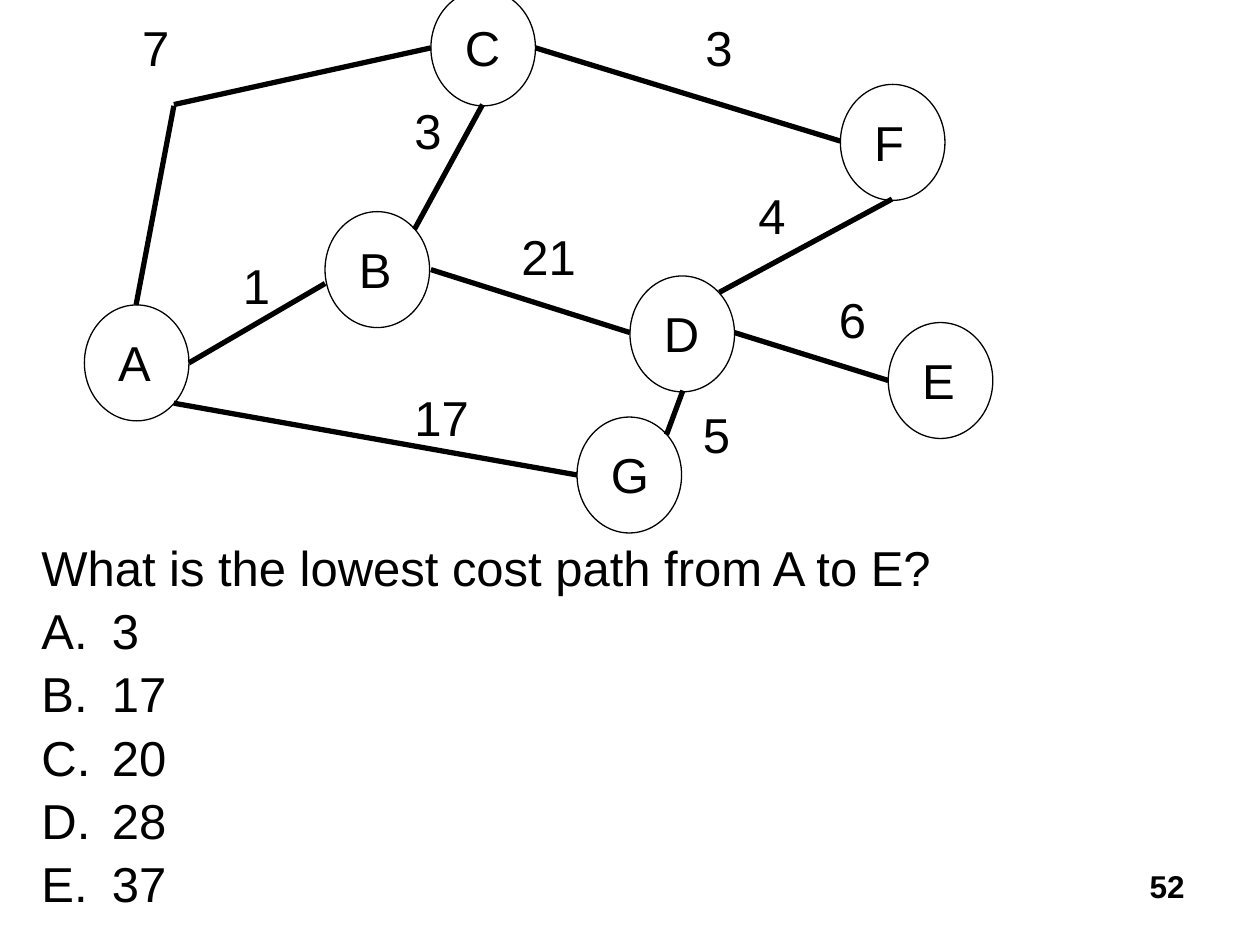
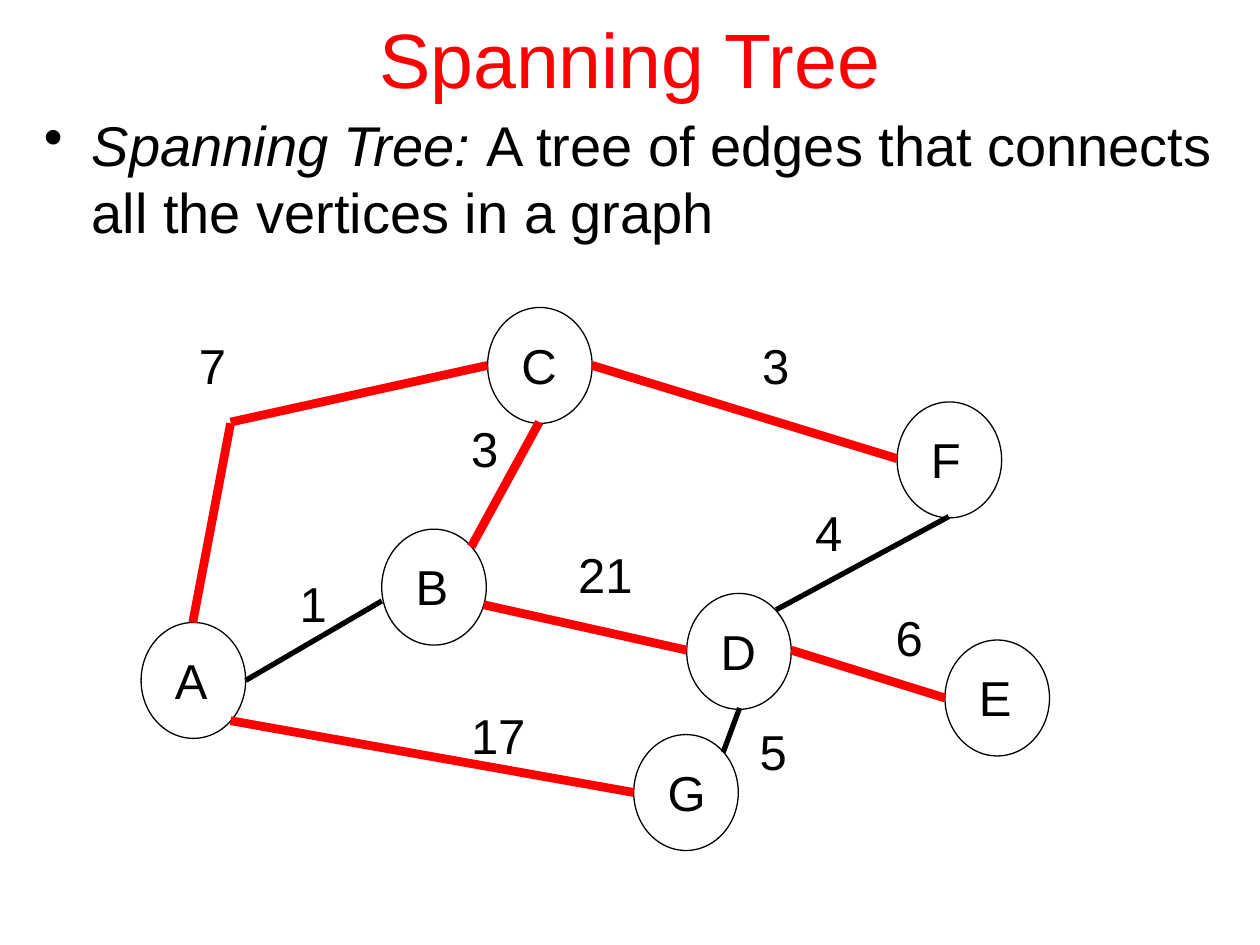
from dataclasses import dataclass, replace

from lxml.etree import SubElement
from pptx import Presentation
from pptx.dml.color import RGBColor
from pptx.enum.shapes import MSO_CONNECTOR, MSO_SHAPE
from pptx.enum.text import MSO_ANCHOR, PP_ALIGN
from pptx.oxml.ns import qn
from pptx.slide import Slide
from pptx.text.text import TextFrame
from pptx.util import Inches, Pt

BLACK = RGBColor(0, 0, 0)
RED = RGBColor(255, 0, 0)
FONT = "Arial"
GAP = Pt(2.4)
NODE_W, NODE_H = 0.83, 0.92
INSET = 0.17  # from a circle's corner to its letter box
TEXT_H = 0.57


@dataclass(frozen=True)
class Node:
    name: str
    x: float
    y: float
    width: float  # of the letter box


@dataclass(frozen=True)
class Edge:
    ends: str
    start: tuple[float, float]
    end: tuple[float, float]


@dataclass(frozen=True)
class Cost:
    value: str
    x: float
    y: float


NODES = [
    Node("A", 0.67, 2.42, 0.46),
    Node("B", 2.58, 1.68, 0.46),
    Node("C", 3.42, -0.08, 0.49),
    Node("F", 6.67, 0.67, 0.44),
    Node("D", 5, 2.19, 0.49),
    Node("E", 7.05, 2.56, 0.46),
    Node("G", 4.58, 3.31, 0.51),
]
# The edge from A to C bends, so it takes two lines
EDGES = [
    Edge("AB", (1.5, 2.88), (2.58, 2.25)),
    Edge("BC", (3.29, 1.82), (3.83, 0.83)),
    Edge("CF", (4.25, 0.38), (6.67, 1.12)),
    Edge("FD", (7.08, 1.58), (5.71, 2.32)),
    Edge("DE", (5.83, 2.64), (7.05, 3.02)),
    Edge("DG", (5.42, 3.1), (5.29, 3.45)),
    Edge("BD", (3.42, 2.14), (5, 2.64)),
    Edge("AG", (1.38, 3.2), (4.58, 3.77)),
    Edge("AC", (1.08, 2.42), (1.38, 0.84)),
    Edge("AC", (1.38, 0.83), (3.42, 0.38)),
]
COSTS = [
    Cost("1", 1.83, 1.98),
    Cost("3", 3.19, 0.75),
    Cost("3", 5.5, 0.09),
    Cost("21", 4.04, 1.75),
    Cost("4", 5.92, 1.42),
    Cost("6", 6.56, 2.25),
    Cost("17", 3.19, 3.03),
    Cost("5", 5.48, 3.16),
    Cost("7", 1.03, 0.09),
]
TREE = {"BC", "CF", "DE", "BD", "AG", "AC"}


def add_text(slide: Slide, box: tuple[float, float, float, float], text: str,
             size: float = 28, color: RGBColor = BLACK, wrap: bool = True,
             gap: int = GAP) -> TextFrame:
    frame = slide.shapes.add_textbox(*map(Inches, box)).text_frame
    frame.word_wrap = wrap
    frame.text = text
    for para in frame.paragraphs:
        para.space_before = gap
        for run in para.runs:
            run.font.name = FONT
            run.font.size = Pt(size)
            run.font.color.rgb = color
    return frame


def set_bullet(para, indent: float, tag: str, **attrs: str) -> None:
    props = para._p.get_or_add_pPr()
    props.set("marL", str(Inches(indent)))
    props.set("indent", str(-Inches(indent)))
    SubElement(props, qn(tag), attrs)


def add_edge(slide: Slide, edge: Edge, dx: float, dy: float, marked: bool) -> None:
    (x1, y1), (x2, y2) = edge.start, edge.end
    points = map(Inches, (x1 + dx, y1 + dy, x2 + dx, y2 + dy))
    line = slide.shapes.add_connector(MSO_CONNECTOR.STRAIGHT, *points)
    line.line.color.rgb = RED if marked else BLACK
    line.line.width = Pt(5 if marked else 3)
    SubElement(line._element.spPr, qn("a:effectLst"))


def add_node(slide: Slide, node: Node, dx: float, dy: float) -> None:
    x, y = node.x + dx, node.y + dy
    oval = slide.shapes.add_shape(
        MSO_SHAPE.OVAL, *map(Inches, (x, y, NODE_W, NODE_H)))
    oval.shadow.inherit = False
    oval.fill.background()
    oval.line.color.rgb = BLACK
    oval.line.width = Pt(0.75)
    add_text(slide, (x + INSET, y + INSET, node.width, TEXT_H), node.name, wrap=False)


def add_graph(slide: Slide, edges: list[Edge], dx: float = 0, dy: float = 0,
              tree: frozenset[str] | set[str] = frozenset()) -> None:
    for node in NODES:
        add_node(slide, node, dx, dy)
    for edge in edges:
        add_edge(slide, edge, dx, dy, edge.ends in tree)
    for cost in COSTS:
        width = 0.2 + 0.22 * len(cost.value)
        add_text(slide, (cost.x + dx, cost.y + dy, width, TEXT_H), cost.value, wrap=False)


def build_quiz(slide: Slide) -> None:
    number = add_text(slide, (7.42, 6.83, 2.08, 0.5), "52", 18, gap=Pt(0))
    number.paragraphs[0].alignment = PP_ALIGN.RIGHT
    number.paragraphs[0].runs[0].font.bold = True
    add_graph(slide, EDGES)

    # Question with lettered answers
    lines = ["What is the lowest cost path from A to E?", "3", "17", "20", "28", "37"]
    quiz = add_text(slide, (0.23, 4.22, 7.95, 3), "\n".join(lines))
    for para in quiz.paragraphs[1:]:
        set_bullet(para, 0.56, "a:buAutoNum", type="alphaUcPeriod")


def build_tree(slide: Slide) -> None:
    title = add_text(slide, (0.75, -0.17, 8.5, 1.25), "Spanning Tree", 44, RED, gap=Pt(0))
    title.vertical_anchor = MSO_ANCHOR.MIDDLE
    title.paragraphs[0].alignment = PP_ALIGN.CENTER

    # Definition, with its term in italics
    body = add_text(slide, (0.25, 0.83, 9.5, 6), "Spanning Tree: ", 32)
    para = body.paragraphs[0]
    para.runs[0].font.italic = True
    rest = para.add_run()
    rest.text = "A tree of edges that connects all the vertices in a graph"
    rest.font.name = FONT
    rest.font.size = Pt(32)
    rest.font.color.rgb = BLACK
    set_bullet(para, 0.38, "a:buChar", char="•")

    # Here the edge from B to D leaves lower on B
    edges = [replace(edge, start=(3.39, 2.28)) if edge.ends == "BD" else edge
             for edge in EDGES]
    add_graph(slide, edges, 0.45, 2.52, TREE)


def main() -> None:
    deck = Presentation()
    deck.slide_width, deck.slide_height = Inches(10), Inches(7.5)
    for build in (build_quiz, build_tree):
        build(deck.slides.add_slide(deck.slide_layouts[6]))
    deck.save("out.pptx")


if __name__ == "__main__":
    main()
